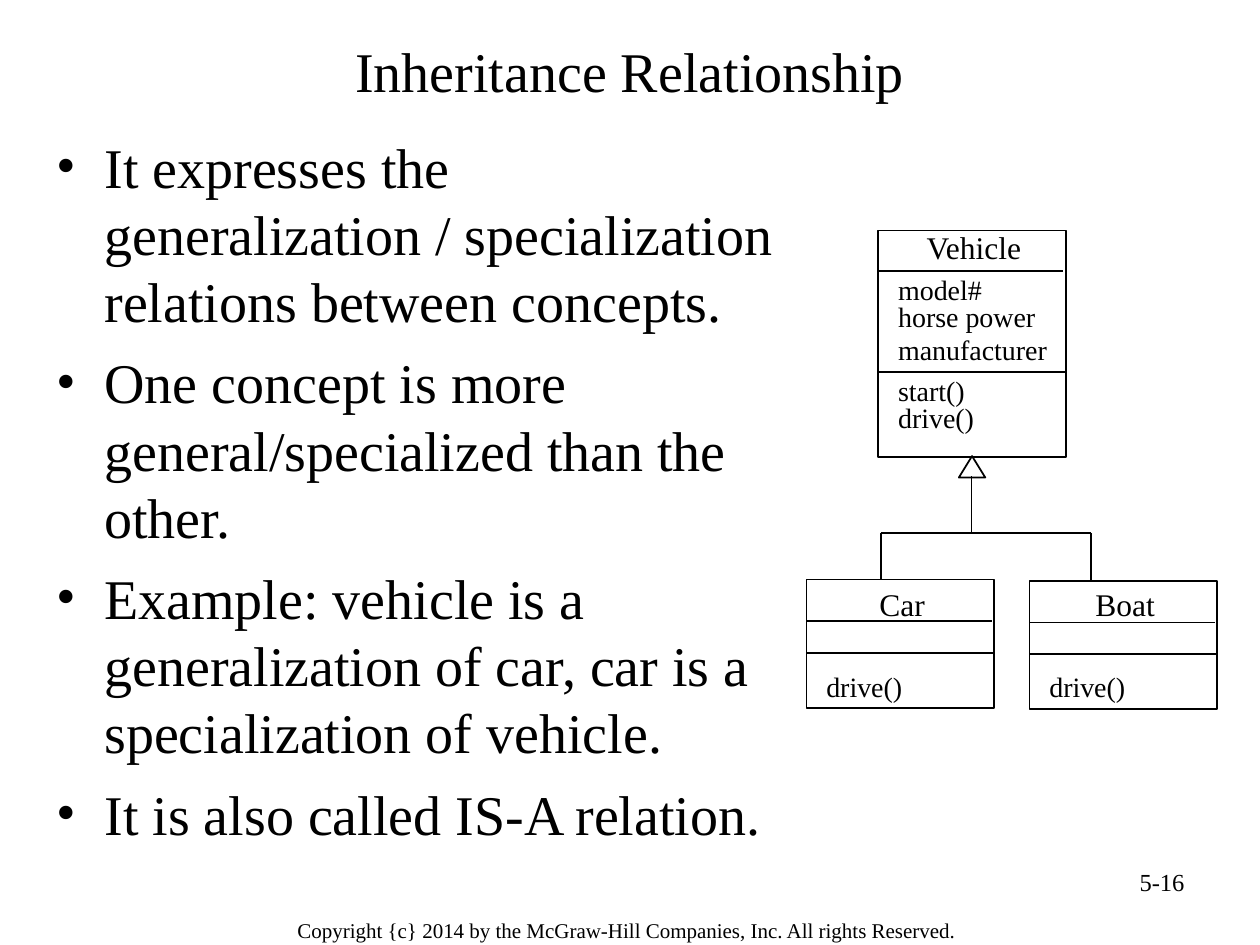
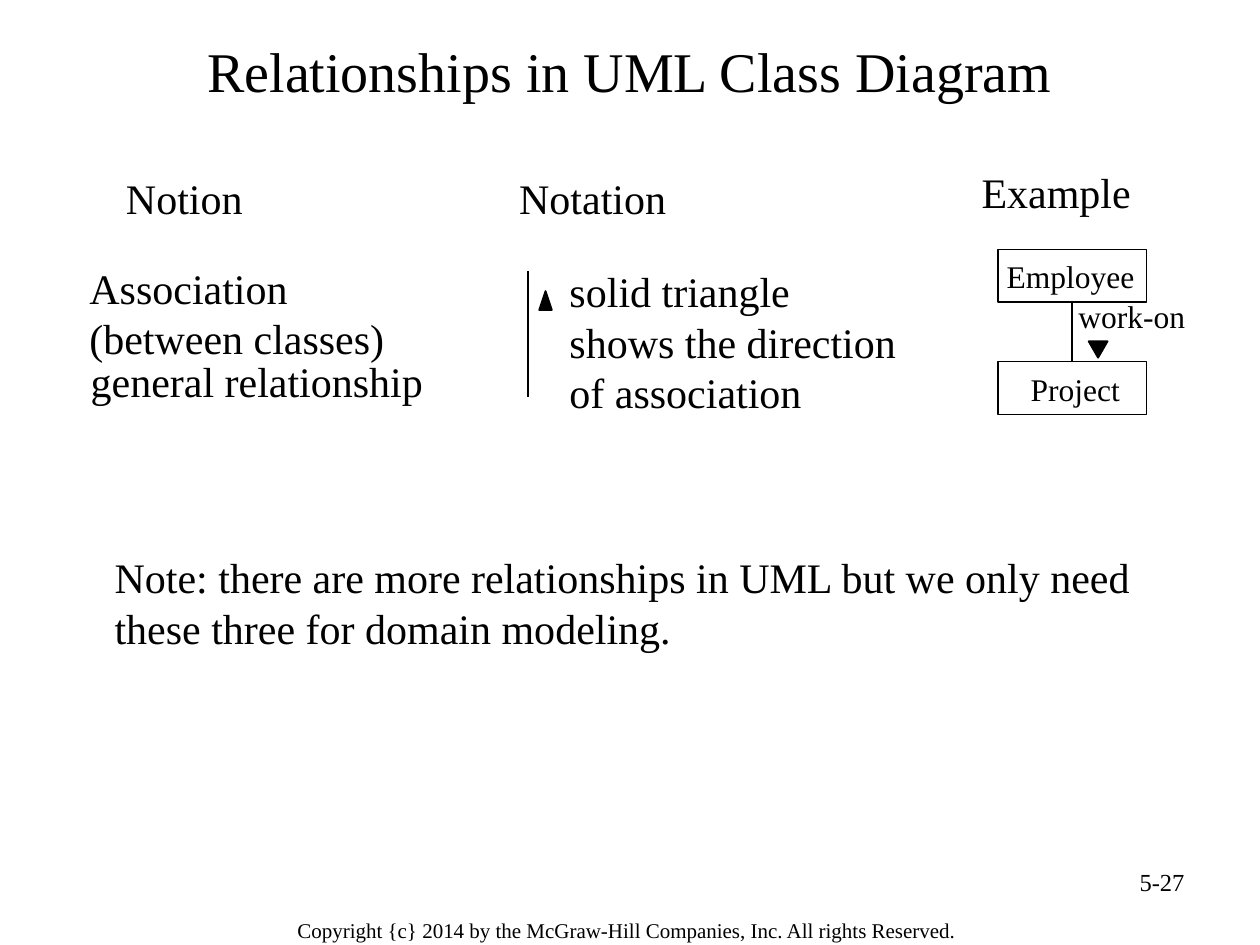
from lxml import etree
from pptx import Presentation, util as u
from pptx.dml.color import RGBColor
from pptx.enum import shapes, text
from pptx.oxml.ns import qn

PX = 9144  # EMU per px, 100 px to the inch
COLORS = {"paper": "FFFFFF", "ink": "000000"}
FONT = "Times New Roman"
INK = RGBColor.from_string(COLORS["ink"])
RECT = shapes.MSO_SHAPE.RECTANGLE
TRIANGLE = shapes.MSO_SHAPE.ISOSCELES_TRIANGLE
LEFT, CENTER, RIGHT = text.PP_ALIGN.LEFT, text.PP_ALIGN.CENTER, text.PP_ALIGN.RIGHT
COPYRIGHT = "Copyright {c} 2014 by the McGraw-Hill Companies, Inc. All rights Reserved."


def add_text(s, box, lines, size, align=LEFT, inset=(0, 0)):
    """Add a text box with one paragraph per line; return its text frame."""
    tf = s.shapes.add_textbox(*(v * PX for v in box)).text_frame
    tf.word_wrap = True
    tf.margin_left = tf.margin_right = inset[0] * PX
    tf.margin_top = tf.margin_bottom = inset[1] * PX
    for i, line in enumerate(lines):
        p = tf.add_paragraph() if i else tf.paragraphs[0]
        p.alignment = align
        r = p.add_run()
        r.text = line
        r.font.name, r.font.size = FONT, u.Pt(size)
        r.font.color.rgb = INK
    return tf


def add_line(s, x1, y1, x2, y2):
    c = s.shapes.add_connector(shapes.MSO_CONNECTOR.STRAIGHT,
                               x1 * PX, y1 * PX, x2 * PX, y2 * PX)
    c.line.color.rgb, c.line.width = INK, u.Pt(1)
    etree.SubElement(c._element.spPr, qn("a:effectLst"))
    return c


prs = Presentation()
prs.slide_width, prs.slide_height = 1000 * PX, 750 * PX

# Title, page number and copyright line on both slides
slides = []
for title, page in (("Inheritance Relationship", "5-16"),
                    ("Relationships in UML Class Diagram", "5-27")):
    s = prs.slides.add_slide(prs.slide_layouts[6])
    s.background.fill.solid()
    s.background.fill.fore_color.rgb = RGBColor.from_string(COLORS["paper"])
    add_text(s, (188, 722, 619, 31), [COPYRIGHT], 12, CENTER, (11, 6))
    add_text(s, (717, 683, 233, 52), [page], 14, RIGHT, (10, 5))
    tf = add_text(s, (50, 19, 900, 73), [title], 32, CENTER, (10, 5))
    tf.vertical_anchor = text.MSO_ANCHOR.MIDDLE
    slides.append(s)
inheritance, relationships = slides

# Boxes and triangles of both diagrams
drawn = {}
for name, s, kind, box, solid in (
        ("vehicle", inheritance, RECT, (697, 183, 149, 180), False),
        ("car", inheritance, RECT, (640, 460, 149, 102), False),
        ("boat", inheritance, RECT, (817, 461, 149, 102), False),
        ("generalization", inheritance, TRIANGLE, (761, 362, 21, 17), False),
        ("employee", relationships, RECT, (792, 198, 118, 42), False),
        ("project", relationships, RECT, (792, 287, 118, 42), False),
        ("direction up", relationships, TRIANGLE, (428, 231, 10, 15), True),
        ("direction down", relationships, TRIANGLE, (864, 271, 15, 13), True)):
    sp = s.shapes.add_shape(kind, *(v * PX for v in box))
    sp.shadow.inherit = False
    sp.line.color.rgb, sp.line.width = INK, u.Pt(1)
    if solid:
        sp.fill.solid()
        sp.fill.fore_color.rgb = INK
    else:
        sp.fill.background()
    drawn[name] = sp
drawn["direction down"]._element.spPr.find(qn("a:xfrm")).set("flipV", "1")

# Slide 1: bullets
tf = add_text(inheritance, (35, 100, 608, 597), [
    "It expresses the generalization / specialization relations between concepts.",
    "One concept is more general/specialized than the other.",
    "Example: vehicle is a generalization of car, car is a specialization of vehicle.",
    "It is also called IS-A relation."], 32, inset=(10, 5))
for i, p in enumerate(tf.paragraphs):
    pPr = p._p.get_or_add_pPr()
    pPr.set("marL", str(38 * PX))
    pPr.set("indent", str(-38 * PX))
    etree.SubElement(pPr, qn("a:buFont")).set("typeface", FONT)
    etree.SubElement(pPr, qn("a:buChar")).set("char", "•")
    if i:
        p.space_before = u.Pt(8)

# Slide 1: class names, members (text, line spacing, space before) and dividers
drive_only = [("drive()", 1.2, 23)]
vehicle_members = [("model#", 1.2, 0), ("horse power", 0.8, 0), ("manufacturer", 1, 0),
                   ("start()", 1.2, 0), ("drive()", 0.8, 0)]
for name, x, y, height, members, dividers in (
        ("Vehicle", 697, 176, 174, vehicle_members, (215, 295)),
        ("Car", 640, 459, 104, drive_only, (493, 518)),
        ("Boat", 817, 459, 104, drive_only, (494, 519))):
    tf = add_text(inheritance, (x + 6, y, 140, height),
                  [name] + [m[0] for m in members], 18, CENTER, (10, 5))
    for p, (_, spacing, before) in zip(tf.paragraphs[1:], members):
        p.alignment, p.line_spacing = LEFT, float(spacing)
        p.runs[0].font.size = u.Pt(16)
        if before:
            p.space_before = u.Pt(before)
    for divider, width in zip(dividers, (147, 149)):
        add_line(inheritance, x, divider, x + width, divider)

# Slide 1: generalization tree
for ends in ((771, 378, 771, 423), (699, 423, 866, 423),
             (699, 423, 699, 460), (866, 423, 866, 461)):
    add_line(inheritance, *ends)

# Slide 2: headings, descriptions and labels
for box, size, lines in (
        ((100, 137, 110, 40), 24, ["Notion"]),
        ((412, 137, 135, 40), 24, ["Notation"]),
        ((779, 132, 135, 40), 24, ["Example"]),
        ((71, 208, 260, 80), 24, ["Association", "(between classes)"]),
        ((72, 282, 290, 40), 24, ["general relationship"]),
        ((452, 211, 290, 120), 24,
         ["solid triangle", "shows the direction", "of association"]),
        ((799, 204, 110, 30), 18, ["Employee"]),
        ((818, 294, 85, 30), 18, ["Project"]),
        ((856, 236, 100, 30), 18, ["work-on"]),
        ((91, 438, 840, 80), 24,
         ["Note: there are more relationships in UML but we only need",
          "these three for domain modeling."])):
    add_text(relationships, box, lines, size)

# Slide 2: association lines
add_line(relationships, 419, 215, 419, 315)
c = add_line(relationships, 851, 240, 851, 287)
c.begin_connect(drawn["employee"], 2)
c.end_connect(drawn["project"], 0)

prs.save("out.pptx")
